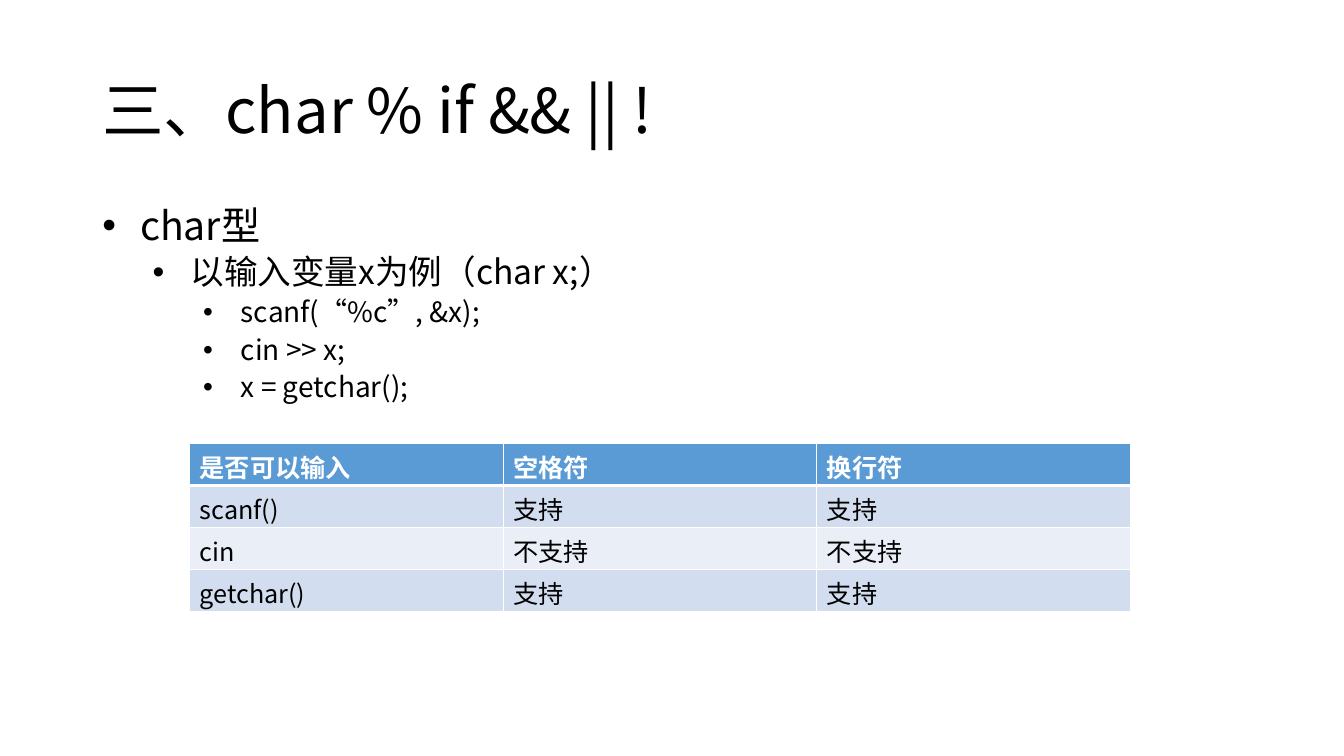
from dataclasses import dataclass
from lxml import etree
from pptx import Presentation
from pptx.dml.color import RGBColor
from pptx.enum.text import MSO_ANCHOR
from pptx.oxml.ns import qn
from pptx.util import Pt

MIDDLE = MSO_ANCHOR.MIDDLE
TOP = MSO_ANCHOR.TOP


@dataclass(frozen=True)
class Theme:
    font: str = "Noto Sans CJK SC"
    ink: str = "000000"
    white: str = "FFFFFF"
    header: str = "5B9BD5"
    bands: tuple = ("D2DEEF", "EAEFF7")
    title_size: int = 44
    level_sizes: tuple = (28, 24, 20)
    table_size: int = 18


theme = Theme()


def write(para, text, size, color=theme.ink, bold=False, spacing=None, before=0, level=None):
    span = para.add_run()
    span.text = text
    span.font.name = theme.font
    span.font.size = Pt(size)
    span.font.bold = bold
    span.font.color.rgb = RGBColor.from_string(color)
    etree.SubElement(span.font._element, qn("a:ea"), typeface=theme.font)
    para.space_before = Pt(before)
    if spacing:
        para.line_spacing = spacing
    if level is not None:
        para.level = level
        properties = para._p.get_or_add_pPr()
        properties.set("marL", str(Pt(27 + 36 * level)))
        properties.set("indent", str(-Pt(27)))
        etree.SubElement(properties, qn("a:buFont"), typeface="Arial")
        etree.SubElement(properties, qn("a:buChar"), char="•")


def add_border(cell, side, width):
    line = etree.SubElement(cell._tc.get_or_add_tcPr(), qn(f"a:ln{side}"), w=str(Pt(width)))
    fill = etree.SubElement(line, qn("a:solidFill"))
    etree.SubElement(fill, qn("a:srgbClr"), val=theme.white)


deck = Presentation()
deck.slide_width = Pt(960)
deck.slide_height = Pt(540)
page = deck.slides.add_slide(deck.slide_layouts[6])

frames = []
for top, height, anchor in ((28.75, 104.4, MIDDLE), (143.75, 342.6, TOP)):
    box = page.shapes.add_textbox(Pt(66), Pt(top), Pt(828), Pt(height))
    box.text_frame.word_wrap = True
    box.text_frame.vertical_anchor = anchor
    frames.append(box.text_frame)
title, body = frames

write(title.paragraphs[0], "三、char % if && || !", theme.title_size, spacing=0.9)

outline = (
    (0, "char型"),
    (1, "以输入变量x为例（char x;）"),
    (2, "scanf(“%c”, &x);"),
    (2, "cin >> x;"),
    (2, "x = getchar();"),
)
for index, (level, text) in enumerate(outline):
    para = body.add_paragraph() if index else body.paragraphs[0]
    write(para, text, theme.level_sizes[level], spacing=0.9,
          before=5 if level else 10, level=level)

rows = (
    ("是否可以输入", "空格符", "换行符"),
    ("scanf()", "支持", "支持"),
    ("cin", "不支持", "不支持"),
    ("getchar()", "支持", "支持"),
)
table = page.shapes.add_table(
    len(rows), len(rows[0]), Pt(135.4), Pt(316.8), Pt(672), Pt(120)).table
table.first_row = False
table.horz_banding = False
for row, texts in enumerate(rows):
    heading = row == 0
    for column, text in enumerate(texts):
        cell = table.cell(row, column)
        write(cell.text_frame.paragraphs[0], text, theme.table_size,
              color=theme.white if heading else theme.ink, bold=heading)
        for side, width in (("L", 1), ("R", 1), ("T", 3 if row == 1 else 1),
                            ("B", 3 if heading else 1)):
            add_border(cell, side, width)
        cell.fill.solid()
        cell.fill.fore_color.rgb = RGBColor.from_string(
            theme.header if heading else theme.bands[(row - 1) % 2])

deck.save("out.pptx")
